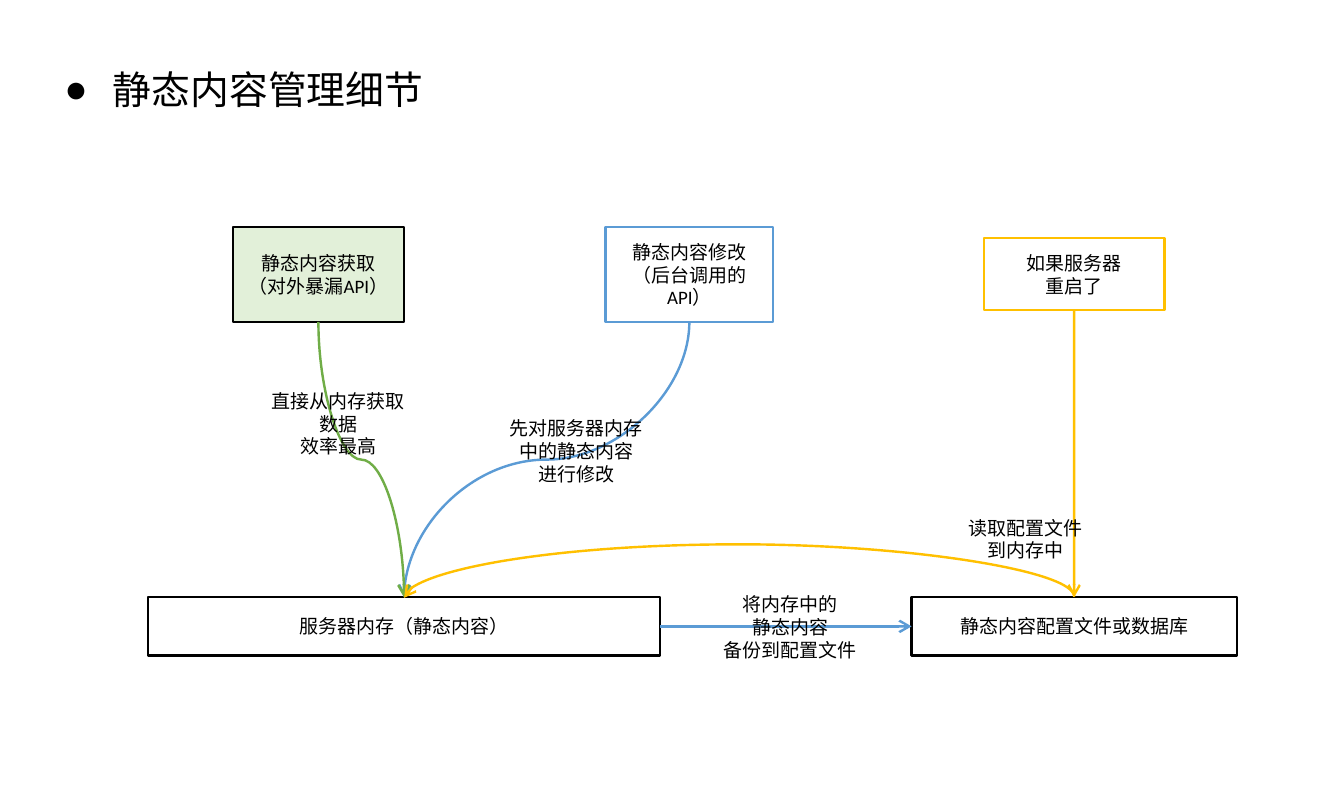
from lxml import etree
from pptx import Presentation
from pptx.dml.color import RGBColor
from pptx.enum import shapes, text
from pptx.oxml.ns import qn
from pptx.util import Pt

FONT = "Calibri"
BLACK, BLUE, YELLOW, GREEN, PALE_GREEN = "000000", "5B9BD5", "FFC000", "70AD47", "E2F0D9"
TOP, LEFT, BOTTOM, RIGHT = range(4)  # connection sites of a box


def color(value):
    return RGBColor.from_string(value)


def place(shape, left, top, width, height):
    shape.left, shape.top = Pt(left), Pt(top)
    shape.width, shape.height = Pt(width), Pt(height)


def write(shape, lines, size=17.6):
    """Fill a shape with centred paragraphs."""
    frame = shape.text_frame
    frame.word_wrap = True
    frame.auto_size = text.MSO_AUTO_SIZE.NONE
    frame.vertical_anchor = text.MSO_ANCHOR.MIDDLE
    frame.text = "\n".join(lines)
    for paragraph in frame.paragraphs:
        paragraph.alignment = text.PP_ALIGN.CENTER
        paragraph.line_spacing = 1.0
        paragraph.font.name = FONT
        paragraph.font.size = Pt(size)
        paragraph.font.color.rgb = color(BLACK)


def add_title(slide, wording):
    title = slide.shapes.title
    place(title, 27.5, 48, 397.5, 69)
    write(title, [wording], 36)
    properties = title.text_frame.paragraphs[0]._p.get_or_add_pPr()
    properties.set("marL", str(Pt(45)))
    properties.set("indent", str(-Pt(45)))
    etree.SubElement(properties, qn("a:buFont")).set("typeface", "Arial")
    etree.SubElement(properties, qn("a:buChar")).set("char", "●")
    # Bullet settings come before the default run properties
    properties.append(properties.find(qn("a:defRPr")))


def add_box(slide, bounds, lines, line=BLACK, fill=None):
    box = slide.shapes.add_shape(shapes.MSO_SHAPE.FLOWCHART_PROCESS, 0, 0, 0, 0)
    place(box, *bounds)
    box.shadow.inherit = False
    if fill:
        box.fill.solid()
        box.fill.fore_color.rgb = color(fill)
    else:
        box.fill.background()
    box.line.color.rgb = color(line)
    box.line.width = Pt(2.25)
    write(box, lines)
    return box


def add_label(slide, left, top, lines):
    label = slide.shapes.add_textbox(0, 0, 0, 0)
    place(label, left, top, 150.5, 93.5)
    write(label, lines)


def stand_upright(connector):
    """Turn a curve by 90 degrees so that it leaves its ends vertically."""
    begin_x, begin_y = connector.begin_x, connector.begin_y
    end_x, end_y = connector.end_x, connector.end_y
    across = end_x - begin_x
    down = (end_y - begin_y) or -Pt(1)
    center_x, center_y = (begin_x + end_x) // 2, (begin_y + end_y) // 2
    connector.begin_x, connector.begin_y = center_x - down // 2, center_y + across // 2
    connector.end_x, connector.end_y = center_x + down // 2, center_y - across // 2
    connector._element.spPr.find(qn("a:xfrm")).set("rot", str(90 * 60000))


def add_curve(slide, target, target_site, source, source_site, line, bend=0.5):
    """Connect two boxes, with the arrowhead at the target."""
    connector = slide.shapes.add_connector(shapes.MSO_CONNECTOR.CURVE, 0, 0, 0, 0)
    connector.begin_connect(target, target_site)
    connector.end_connect(source, source_site)
    if target_site == TOP:
        stand_upright(connector)
    connector.line.color.rgb = color(line)
    connector.line.width = Pt(2.25)
    properties = connector._element.spPr
    head = etree.SubElement(properties.find(qn("a:ln")), qn("a:headEnd"))
    for name, value in (("type", "arrow"), ("w", "lg"), ("len", "lg")):
        head.set(name, value)
    etree.SubElement(properties, qn("a:effectLst"))
    geometry = properties.find(qn("a:prstGeom"))
    adjustments = geometry.find(qn("a:avLst"))
    if adjustments is None:
        adjustments = etree.SubElement(geometry, qn("a:avLst"))
    guide = etree.SubElement(adjustments, qn("a:gd"))
    guide.set("name", "adj1")
    guide.set("fmla", f"val {round(bend * 100000)}")


def main():
    presentation = Presentation()
    presentation.slide_width, presentation.slide_height = Pt(1247.25), Pt(737)
    slide = presentation.slides.add_slide(presentation.slide_layouts[5])
    add_title(slide, "静态内容管理细节")

    # Storage
    memory = add_box(slide, (137.5, 554.4, 475, 54), ["服务器内存（静态内容）"])
    config = add_box(slide, (846, 554.4, 301.7, 54), ["静态内容配置文件或数据库"])

    # Triggers
    fetch = add_box(slide, (216, 210.8, 159, 88), ["静态内容获取", "（对外暴漏API）"],
                    fill=PALE_GREEN)
    modify = add_box(slide, (562, 210.8, 155.5, 88), ["静态内容修改", "（后台调用的API）"], BLUE)
    restart = add_box(slide, (913, 221, 167.8, 67), ["如果服务器", "重启了"], YELLOW)

    # Data flows
    add_curve(slide, memory, TOP, modify, BOTTOM, BLUE)
    add_curve(slide, config, LEFT, memory, RIGHT, BLUE)
    add_curve(slide, config, TOP, restart, BOTTOM, YELLOW)
    add_curve(slide, memory, TOP, fetch, BOTTOM, GREEN)
    add_curve(slide, memory, TOP, config, TOP, YELLOW, bend=50)

    # Flow labels
    add_label(slide, 459.5, 372, ["先对服务器内存", "中的静态内容", "进行修改"])
    add_label(slide, 658.3, 535, ["将内存中的", "静态内容", "备份到配置文件"])
    add_label(slide, 876.5, 453.6, ["读取配置文件", "到内存中"])
    add_label(slide, 238.5, 346.3, ["直接从内存获取", "数据", "效率最高"])

    presentation.save("out.pptx")


main()
